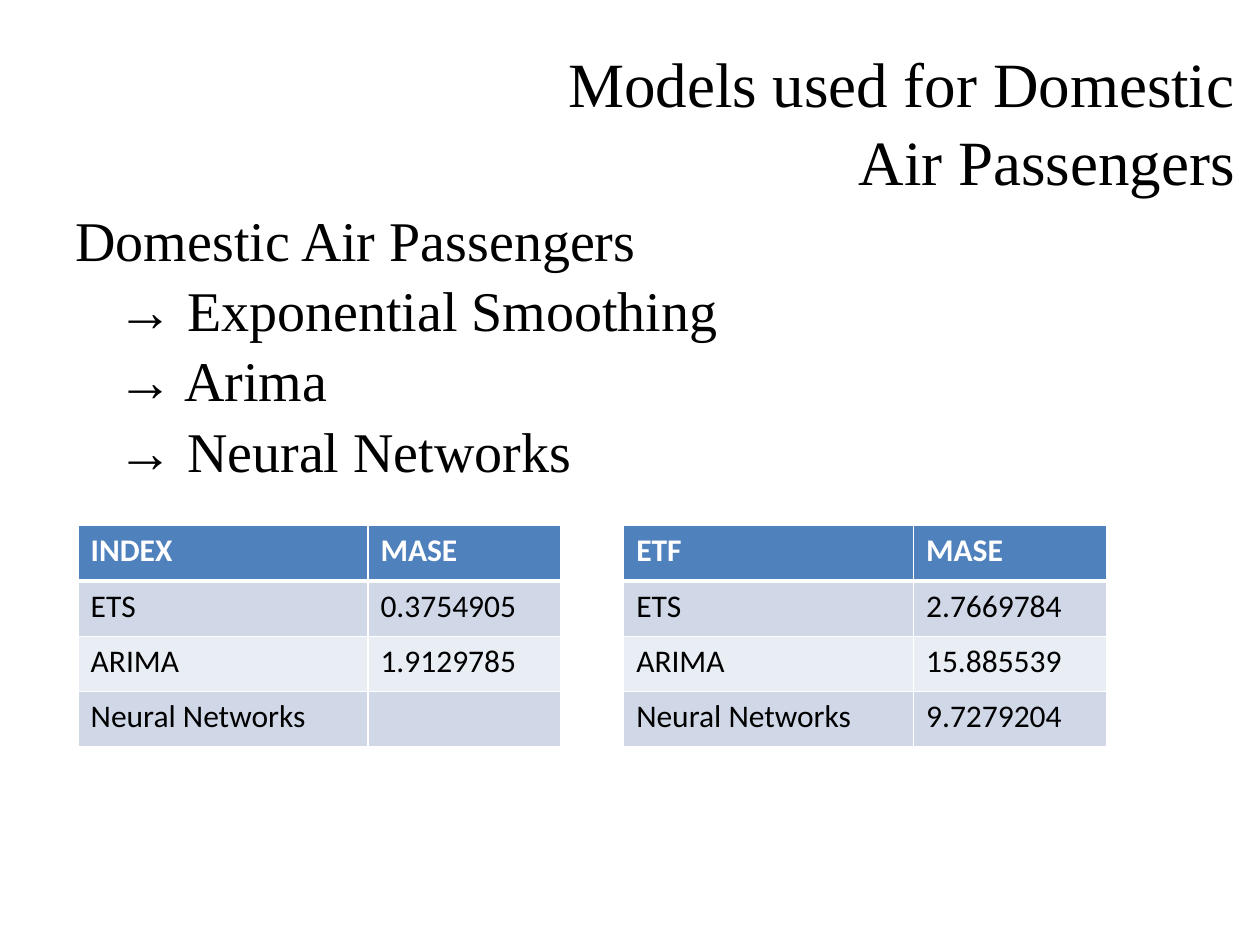
from dataclasses import dataclass

from lxml.etree import SubElement
from pptx import Presentation
from pptx.dml.color import RGBColor
from pptx.enum.text import PP_ALIGN as Align
from pptx.oxml.ns import qn
from pptx.util import Inches, Pt

BLACK, WHITE = "000000", "FFFFFF"
HEADER_FILL, BAND_FILLS = "4F81BD", ("D0D8E8", "E9EDF4")
COLUMN_WIDTHS = (2.3, 1.53)
ROW_HEIGHT = 0.44
TABLE_TOP = 4.17


@dataclass
class Line:
    text: str
    indent: float = 0


@dataclass
class ErrorTable:
    left: float
    rows: list[tuple[str, str]]


TITLE = [Line("Models used for Domestic"), Line("Air Passengers")]
MODELS = [
    Line("Domestic Air Passengers", 0.02),
    Line("→ Exponential Smoothing", 0.35),
    Line("→ Arima", 0.35),
    Line("→ Neural Networks", 0.35),
]
ERROR_TABLES = [
    ErrorTable(0.62, [("INDEX", "MASE"), ("ETS", "0.3754905"),
                      ("ARIMA", "1.9129785"), ("Neural Networks", "")]),
    ErrorTable(4.95, [("ETF", "MASE"), ("ETS", "2.7669784"),
                      ("ARIMA", "15.885539"), ("Neural Networks", "9.7279204")]),
]


def color(value: str) -> RGBColor:
    return RGBColor.from_string(value)


def write(paragraph, text: str, *, size: float, font: str,
          fill: str = BLACK, bold: bool = False, align=Align.LEFT) -> None:
    paragraph.alignment = align
    run = paragraph.add_run()
    run.text = text
    run.font.size, run.font.name, run.font.bold = Pt(size), font, bold
    run.font.color.rgb = color(fill)


def add_lines(slide, lines: list[Line], left: float, top: float,
              width: float, height: float, **style) -> None:
    box = slide.shapes.add_textbox(*map(Inches, (left, top, width, height)))
    frame = box.text_frame
    frame.word_wrap = True
    frame.margin_left = frame.margin_right = frame.margin_bottom = 0
    frame.margin_top = Inches(0.07)
    for number, line in enumerate(lines):
        paragraph = frame.add_paragraph() if number else frame.paragraphs[0]
        paragraph.space_before = Pt(1.75 if number else 0)
        properties = paragraph._p.get_or_add_pPr()
        properties.set("marL", str(Inches(line.indent)))
        properties.set("indent", "0")
        write(paragraph, line.text, **style)


def set_borders(cell, widths: dict[str, float]) -> None:
    """Draw white borders; they must precede the fill in the cell's XML."""
    properties = cell._tc.get_or_add_tcPr()
    for side, width in widths.items():
        border = SubElement(properties, qn(f"a:ln{side}"), w=str(Pt(width)))
        solid = SubElement(border, qn("a:solidFill"))
        SubElement(solid, qn("a:srgbClr"), val=WHITE)


def add_error_table(slide, errors: ErrorTable) -> None:
    row_count = len(errors.rows)
    table = slide.shapes.add_table(
        row_count, len(COLUMN_WIDTHS), Inches(errors.left), Inches(TABLE_TOP),
        Inches(sum(COLUMN_WIDTHS)), Inches(row_count * ROW_HEIGHT)).table
    for column, width in zip(table.columns, COLUMN_WIDTHS):
        column.width = Inches(width)
    for r, values in enumerate(errors.rows):
        table.rows[r].height = Inches(ROW_HEIGHT)
        is_header = r == 0
        for c, value in enumerate(values):
            cell = table.cell(r, c)
            set_borders(cell, {"L": 1, "R": 1, "T": 3 if r == 1 else 1,
                               "B": 3 if is_header else 1})
            cell.fill.solid()
            cell.fill.fore_color.rgb = color(
                HEADER_FILL if is_header else BAND_FILLS[(r - 1) % 2])
            if value:
                write(cell.text_frame.paragraphs[0], value, size=18, font="Calibri",
                      fill=WHITE if is_header else BLACK, bold=is_header)


def main() -> None:
    deck = Presentation()
    deck.slide_width, deck.slide_height = Inches(10), Inches(7.5)
    slide = deck.slides.add_slide(deck.slide_layouts[6])
    add_lines(slide, TITLE, 4.48, 0.28, 5.32, 1.23,
              size=36, font="Times New Roman", align=Align.RIGHT)
    add_lines(slide, MODELS, 0.58, 1.56, 8.8, 2.71,
              size=32, font="Times New Roman")
    for errors in ERROR_TABLES:
        add_error_table(slide, errors)
    deck.save("out.pptx")


if __name__ == "__main__":
    main()
